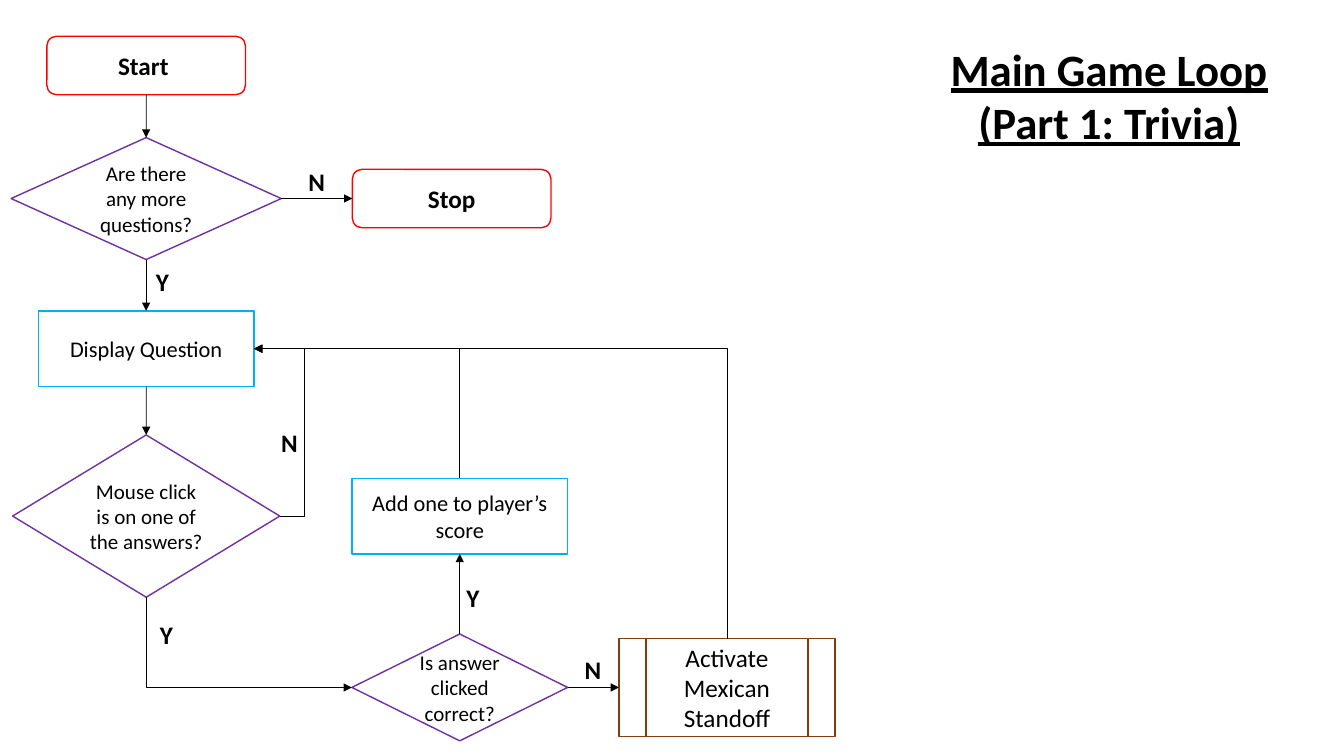
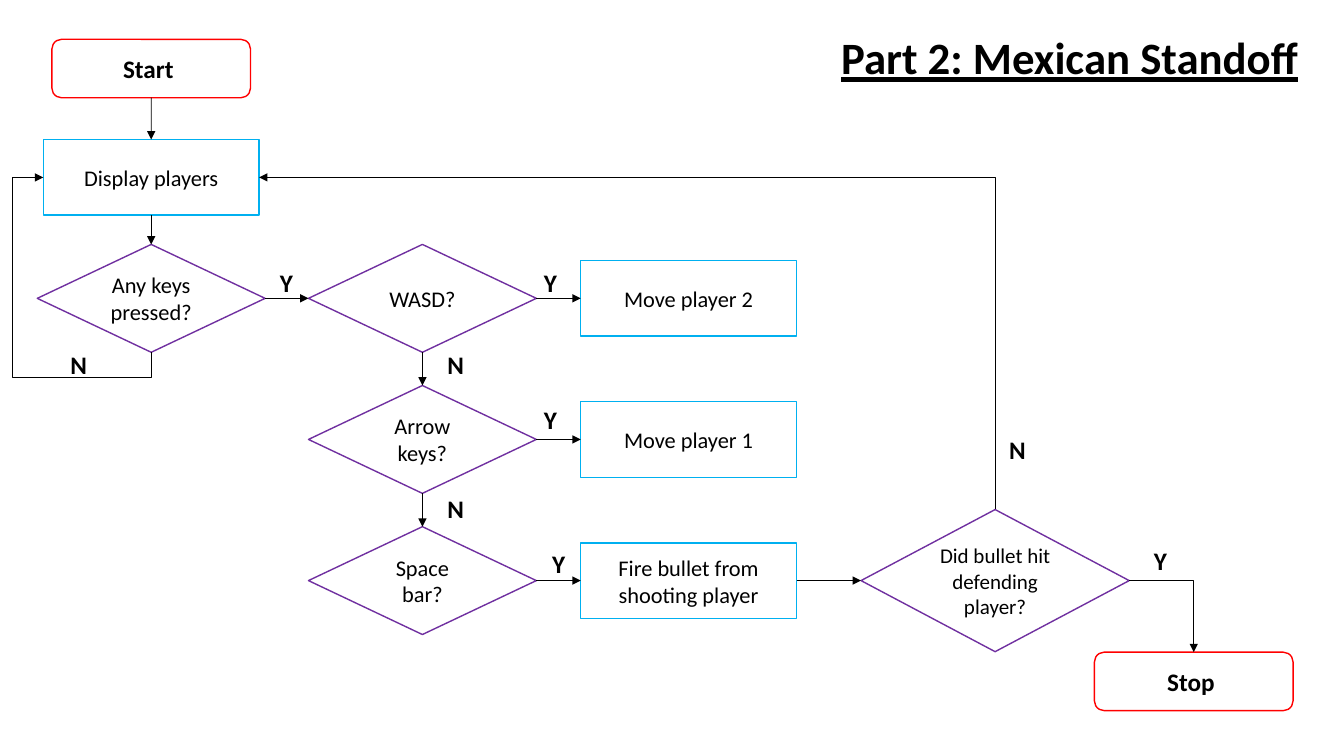
from pptx import Presentation
from pptx.dml.color import RGBColor
from pptx.enum.shapes import MSO_CONNECTOR, MSO_SHAPE
from pptx.enum.text import MSO_ANCHOR, MSO_AUTO_SIZE, PP_ALIGN
from pptx.oxml.ns import qn
from pptx.util import Inches, Pt
from lxml.etree import SubElement

FONT = "Calibri"
INK, PAPER = "000000", "FFFFFF"
TOP, LEFT, BOTTOM, RIGHT = range(4)
LABEL_SIZE = (0.71, 0.4)

KINDS = {
    "terminal": dict(preset=MSO_SHAPE.ROUNDED_RECTANGLE, outline="FF0000",
                     size=(1.97, 0.58), points=18, bold=True),
    "process": dict(preset=MSO_SHAPE.RECTANGLE, outline="00B0F0",
                    size=(2.14, 0.75), points=16, bold=False),
    "check": dict(preset=MSO_SHAPE.FLOWCHART_DECISION, outline="7030A0",
                  size=(2.26, 1.07), points=16, bold=False),
    "question": dict(preset=MSO_SHAPE.FLOWCHART_DECISION, outline="7030A0",
                     size=(2.68, 1.21), points=15, bold=False),
    "subroutine": dict(preset=MSO_SHAPE.FLOWCHART_PREDEFINED_PROCESS, outline="843C0B",
                       size=(2.14, 0.97), points=18, bold=False),
}

TRIVIA_COLUMNS = (1.45, 4.56, 7.21)
STANDOFF_COLUMNS = (1.5, 4.19, 6.83, 9.87, 11.84)
KEY_ROWS = [2.96 + 1.4 * row for row in range(3)]

# Steps: key -> kind, text, centre x, centre y, optional size
TRIVIA = {
    "title": ("Main Game Loop (Part 1: Trivia)", 11, 0.95, (3.94, 1.18)),
    "steps": {
        "start": ("terminal", "Start ", TRIVIA_COLUMNS[0], 0.65),
        "more": ("question", "Are there any more questions?", TRIVIA_COLUMNS[0], 1.97),
        "stop": ("terminal", "Stop", 4.48, 1.97),
        "display": ("process", "Display Question", TRIVIA_COLUMNS[0], 3.46),
        "click": ("question", "Mouse click is on one of the answers?",
                  TRIVIA_COLUMNS[0], 5.12, (2.65, 1.61)),
        "score": ("process", "Add one to player’s score", TRIVIA_COLUMNS[1], 5.12),
        "correct": ("question", "Is answer clicked correct?",
                    TRIVIA_COLUMNS[1], 6.82, (2.14, 1.06)),
        "standoff": ("subroutine", "Activate Mexican Standoff", TRIVIA_COLUMNS[2], 6.82),
    },
    "arrows": [
        ("start", BOTTOM, "more", TOP),
        ("more", RIGHT, "stop", LEFT),
        ("more", BOTTOM, "display", TOP),
        ("display", BOTTOM, "click", TOP),
        ("correct", TOP, "score", BOTTOM),
        ("correct", RIGHT, "standoff", LEFT),
    ],
    "elbows": [
        ("click", RIGHT, "display", RIGHT, 0, (0.24,)),
        ("click", BOTTOM, "correct", LEFT, 270, ()),
        ("score", TOP, "display", RIGHT, 270, ()),
        ("standoff", TOP, "display", RIGHT, 270, ()),
    ],
    "labels": [
        ("N", 3.14, 1.8), ("Y", 1.61, 2.79), ("N", 2.87, 4.39),
        ("Y", 1.65, 6.29), ("Y", 4.69, 5.93), ("N", 5.88, 6.64),
    ],
}

STANDOFF = {
    "title": ("Part 2: Mexican Standoff", 10.61, 0.57, (5.04, 0.64)),
    "steps": {
        "start": ("terminal", "Start ", STANDOFF_COLUMNS[0], 0.68),
        "display": ("process", "Display players", STANDOFF_COLUMNS[0], 1.76),
        "pressed": ("check", "Any keys pressed?", STANDOFF_COLUMNS[0], KEY_ROWS[0]),
        "wasd": ("check", "WASD?", STANDOFF_COLUMNS[1], KEY_ROWS[0]),
        "arrow keys": ("check", "Arrow keys?", STANDOFF_COLUMNS[1], KEY_ROWS[1]),
        "space": ("check", "Space bar?", STANDOFF_COLUMNS[1], KEY_ROWS[2]),
        "move 2": ("process", "Move player 2", STANDOFF_COLUMNS[2], KEY_ROWS[0]),
        "move 1": ("process", "Move player 1", STANDOFF_COLUMNS[2], KEY_ROWS[1]),
        "fire": ("process", "Fire bullet from shooting player", STANDOFF_COLUMNS[2], KEY_ROWS[2]),
        "hit": ("question", "Did bullet hit defending player?",
                STANDOFF_COLUMNS[3], KEY_ROWS[2], (2.66, 1.41)),
        "stop": ("terminal", "Stop ", STANDOFF_COLUMNS[4], 6.76),
    },
    "arrows": [
        ("start", BOTTOM, "display", TOP),
        ("display", BOTTOM, "pressed", TOP),
        ("pressed", RIGHT, "wasd", LEFT),
        ("wasd", BOTTOM, "arrow keys", TOP),
        ("arrow keys", BOTTOM, "space", TOP),
        ("wasd", RIGHT, "move 2", LEFT),
        ("arrow keys", RIGHT, "move 1", LEFT),
        ("space", RIGHT, "fire", LEFT),
        ("fire", RIGHT, "hit", LEFT),
    ],
    "elbows": [
        ("pressed", BOTTOM, "display", LEFT, 90, (0.25, 0.31)),
        ("hit", RIGHT, "stop", TOP, 0, ()),
        ("hit", TOP, "display", RIGHT, 270, ()),
    ],
    "labels": [
        ("N", 0.78, 3.62), ("Y", 2.84, 2.8), ("Y", 5.46, 2.8), ("Y", 5.46, 4.16),
        ("Y", 5.54, 5.59), ("N", 4.52, 3.62), ("N", 4.52, 5.04),
        ("N", 10.09, 4.46), ("Y", 11.51, 5.56),
    ],
}


def rgb(value):
    return RGBColor.from_string(value)


def centred(x, y, size):
    width, height = size
    return [Inches(v) for v in (x - width / 2, y - height / 2, width, height)]


def write(frame, text, points, bold, underline=False):
    frame.word_wrap = True
    frame.text = text
    paragraph = frame.paragraphs[0]
    paragraph.alignment = PP_ALIGN.CENTER
    font = paragraph.runs[0].font
    font.name, font.size = FONT, Pt(points)
    font.bold, font.underline = bold, underline
    font.color.rgb = rgb(INK)


def add_caption(slide, text, x, y, size, points, underline=False):
    frame = slide.shapes.add_textbox(*centred(x, y, size)).text_frame
    write(frame, text, points, True, underline)
    frame.auto_size = MSO_AUTO_SIZE.SHAPE_TO_FIT_TEXT


def add_step(slide, kind, text, x, y, size=None):
    style = KINDS[kind]
    step = slide.shapes.add_shape(style["preset"], *centred(x, y, size or style["size"]))
    step.shadow.inherit = False
    step.fill.solid()
    step.fill.fore_color.rgb = rgb(PAPER)
    step.line.color.rgb = rgb(style["outline"])
    step.line.width = Pt(1)
    step.text_frame.vertical_anchor = MSO_ANCHOR.MIDDLE
    write(step.text_frame, text, style["points"], style["bold"])
    return step


def add_arrow(slide, steps, route, start, start_side, end, end_side):
    arrow = slide.shapes.add_connector(route, 0, 0, 0, 0)
    arrow.begin_connect(steps[start], start_side)
    arrow.end_connect(steps[end], end_side)
    arrow.line.color.rgb = rgb(INK)
    arrow.line.width = Pt(0.5)
    properties = arrow.element.spPr
    SubElement(properties.find(qn("a:ln")), qn("a:tailEnd"), type="triangle")
    SubElement(properties, qn("a:effectLst"))
    return arrow


def bend(arrow, turn, detours):
    """Turn the elbow's frame and push its segments out by the detours in inches."""
    across, down = arrow.end_x - arrow.begin_x, arrow.end_y - arrow.begin_y
    middle_x = (arrow.begin_x + arrow.end_x) // 2
    middle_y = (arrow.begin_y + arrow.end_y) // 2
    width, height = abs(across), abs(down)
    if turn:
        width, height = height, width
    flips = {0: (across < 0, down < 0),
             90: (down < 0, across > 0),
             270: (down > 0, across < 0)}[turn]
    arrow.left, arrow.top = middle_x - width // 2, middle_y - height // 2
    arrow.width, arrow.height = width, height

    frame = arrow.element.spPr.find(qn("a:xfrm"))
    frame.set("rot", str(turn * 60000))
    for name, flipped in zip(("flipH", "flipV"), flips):
        frame.set(name, str(int(flipped)))

    geometry = arrow.element.spPr.find(qn("a:prstGeom"))
    geometry.set("prst", f"bentConnector{2 + len(detours)}")
    guides = geometry.find(qn("a:avLst"))
    bases = ((0, -1, width), (1, 1, height))
    for number, (detour, (base, sign, extent)) in enumerate(zip(detours, bases), 1):
        share = base + sign * Inches(detour) / extent
        SubElement(guides, qn("a:gd"), name=f"adj{number}", fmla=f"val {round(share * 100000)}")


def add_flowchart(deck, chart):
    slide = deck.slides.add_slide(deck.slide_layouts[6])
    steps = {key: add_step(slide, *step) for key, step in chart["steps"].items()}
    for ends in chart["arrows"]:
        add_arrow(slide, steps, MSO_CONNECTOR.STRAIGHT, *ends)
    for *ends, turn, detours in chart["elbows"]:
        bend(add_arrow(slide, steps, MSO_CONNECTOR.ELBOW, *ends), turn, detours)
    for text, x, y in chart["labels"]:
        add_caption(slide, text, x, y, LABEL_SIZE, 18)
    add_caption(slide, *chart["title"], 32, underline=True)


def main():
    deck = Presentation()
    deck.slide_width, deck.slide_height = Inches(13.33), Inches(7.5)
    for chart in (TRIVIA, STANDOFF):
        add_flowchart(deck, chart)
    deck.save("out.pptx")


if __name__ == "__main__":
    main()
